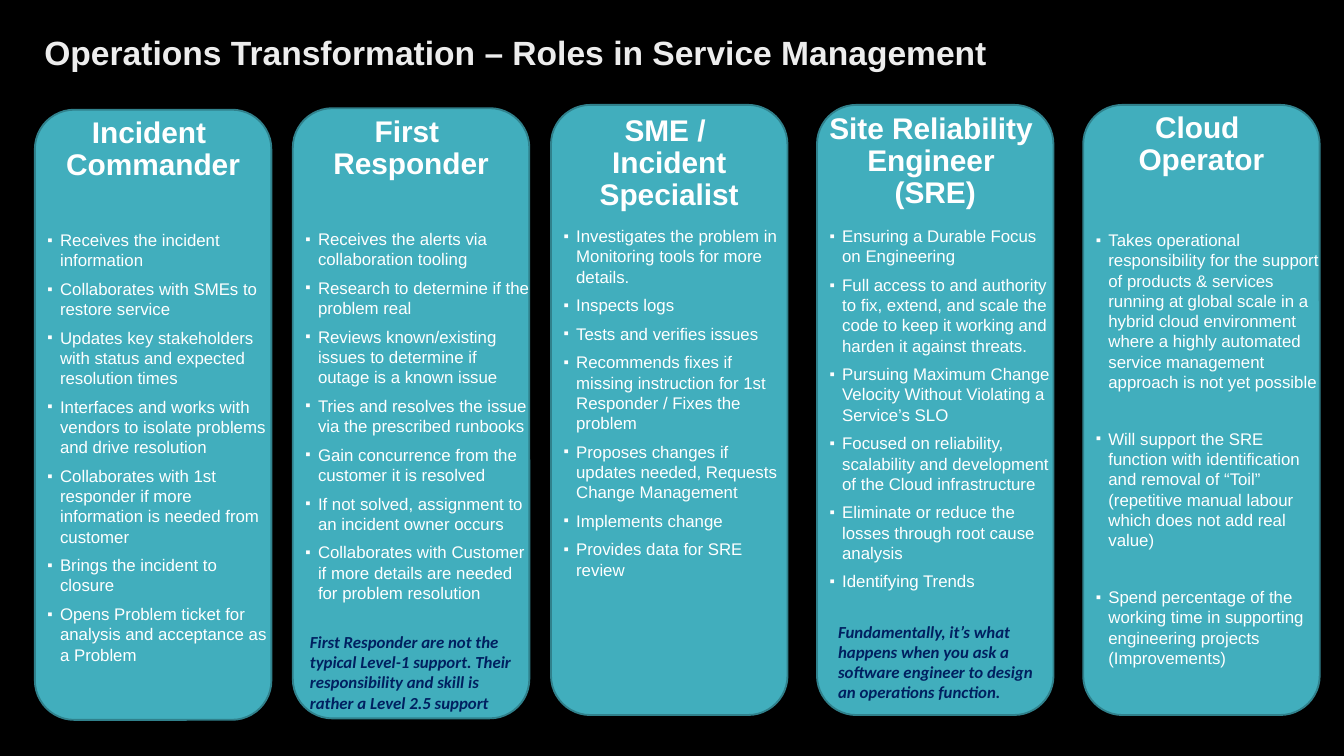
import pptx
import pptx.dml.color
import pptx.enum.shapes
import pptx.enum.text
import pptx.oxml
import pptx.oxml.ns
import pptx.util

Pt = pptx.util.Pt
ALIGN = pptx.enum.text.PP_ALIGN
ANCHOR = pptx.enum.text.MSO_ANCHOR

TITLE = "Operations Transformation – Roles in Service Management"

# Tops are in points; "\v" is a line break within a paragraph.
ROLES = [
    {
        "heading": "Incident \vCommander",
        "left": 18.7, "panel_top": 58.8, "heading_top": 63.2, "list_top": 123.2,
        "duties": [
            "Receives the incident information",
            "Collaborates with SMEs to restore service",
            "Updates key stakeholders with status and expected resolution times",
            "Interfaces and works with vendors to isolate problems and drive resolution",
            "Collaborates with 1st responder if more information is needed from customer",
            "Brings the incident to closure",
            "Opens Problem ticket for analysis and acceptance as a Problem",
        ],
    },
    {
        "heading": "First \vResponder",
        "left": 156.9, "panel_top": 58, "heading_top": 62.6, "list_top": 122.6,
        "duties": [
            "Receives the alerts via collaboration tooling",
            "Research to determine if the problem real",
            "Reviews known/existing issues to determine if outage is a known issue",
            "Tries and resolves the issue via the prescribed runbooks",
            "Gain concurrence from the customer it is resolved",
            "If not solved, assignment to an incident owner occurs",
            "Collaborates with Customer if more details are needed for problem resolution",
        ],
        "note": "First Responder are not the typical Level-1 support. "
                "Their responsibility and skill is rather a Level 2.5 support",
        "note_left": 159, "note_top": 334.8,
    },
    {
        "heading": "SME / \vIncident Specialist",
        "left": 295.2, "panel_top": 56.2, "heading_top": 61.8, "list_top": 121,
        "duties": [
            "Investigates the problem in Monitoring tools for more details.",
            "Inspects logs",
            "Tests and verifies issues",
            "Recommends fixes if missing instruction for 1st Responder / Fixes the problem",
            "Proposes changes if updates needed, Requests Change Management",
            "Implements change",
            "Provides data for SRE review",
        ],
    },
    {
        "heading": "Site Reliability \vEngineer \v(SRE)",
        "left": 437.7, "panel_top": 56.2, "heading_top": 60.9, "list_top": 121,
        "duties": [
            "Ensuring a Durable Focus on Engineering",
            "Full access to and authority to fix, extend, and scale the code "
            "to keep it working and harden it against threats.",
            "Pursuing Maximum Change Velocity Without Violating a Service’s SLO",
            "Focused on reliability, scalability and development of the Cloud infrastructure",
            "Eliminate or reduce the losses through root cause analysis",
            "Identifying Trends",
        ],
        "note": "Fundamentally, it’s what happens when you ask a software "
                "engineer to design an operations function.",
        "note_left": 441.9, "note_top": 329.3,
    },
    {
        "heading": "Cloud \vOperator",
        "left": 580.3, "panel_top": 56.2, "heading_top": 60.4, "list_top": 123.2,
        "gap": 19.8,
        "duties": [
            "Takes operational responsibility for the support of products & services "
            "running at global scale in a hybrid cloud environment where a highly "
            "automated service management approach is not yet possible",
            "Will support the SRE function with identification and removal of “Toil” "
            "(repetitive manual labour which does not add real value)",
            "Spend percentage of the working time in supporting engineering projects "
            "(Improvements)",
        ],
    },
]

THEME = {
    "background": "000000", "panel": "41AEBD", "panel_line": "30818C",
    "text": "FFFFFF", "note": "002060",
    "title_gradient": [(0, "BFBFBF"), (28, "EDEDED"), (100, "FFFFFF")],
    "font": "Arial", "note_font": "Calibri",
    "title_size": 18, "heading_size": 16, "body_size": 9,
}
COLUMN_WIDTH, PANEL_HEIGHT = 126.7, 326.9
LIST_HEIGHT, NOTE_WIDTH, NOTE_HEIGHT = 216, 122.4, 51.1
DUTY_GAP = 4.5


def rgb(name):
    return pptx.dml.color.RGBColor.from_string(THEME[name])


def add_bullet(paragraph):
    properties = paragraph._p.get_or_add_pPr()
    properties.set("marL", str(Pt(13.5)))
    properties.set("indent", str(Pt(-6.75)))
    namespace = pptx.oxml.ns.nsdecls("a")
    for markup in (
        f'<a:buClr {namespace}><a:srgbClr val="{THEME["text"]}"/></a:buClr>',
        f'<a:buSzPct {namespace} val="90000"/>',
        f'<a:buFont {namespace} typeface="{THEME["font"]}"/>',
        f'<a:buChar {namespace} char="▪"/>',
    ):
        properties.append(pptx.oxml.parse_xml(markup))


def write_text(shape, text, *, size, color="text", font="font", bold=False, italic=False,
               align=ALIGN.LEFT, line_spacing=1.0, gap=0, bullet=False,
               inset=(0, 0), anchor=ANCHOR.TOP):
    """Fill a shape with one paragraph for each line of text."""
    frame = shape.text_frame
    frame.word_wrap = True
    frame.auto_size = pptx.enum.text.MSO_AUTO_SIZE.NONE
    frame.vertical_anchor = anchor
    frame.margin_left = frame.margin_right = Pt(inset[0])
    frame.margin_top = frame.margin_bottom = Pt(inset[1])
    frame.text = text
    for index, paragraph in enumerate(frame.paragraphs):
        paragraph.alignment = align
        paragraph.line_spacing = line_spacing
        paragraph.space_before = Pt(gap if index else 0)
        if bullet:
            add_bullet(paragraph)
        for run in paragraph.runs:
            run.font.name = THEME[font]
            run.font.size = Pt(THEME[size])
            run.font.bold = bold
            run.font.italic = italic
            run.font.color.rgb = rgb(color)


def apply_title_gradient(run):
    stops = "".join(
        f'<a:gs pos="{position * 1000}"><a:srgbClr val="{color}"/></a:gs>'
        for position, color in THEME["title_gradient"])
    gradient = pptx.oxml.parse_xml(
        f'<a:gradFill {pptx.oxml.ns.nsdecls("a")}><a:gsLst>{stops}</a:gsLst>'
        '<a:lin ang="4800000" scaled="0"/></a:gradFill>')
    properties = run._r.get_or_add_rPr()
    solid = properties.find(pptx.oxml.ns.qn("a:solidFill"))
    properties.replace(solid, gradient)


def add_title(slide):
    title = slide.shapes.title
    title.left, title.top, title.width, title.height = map(Pt, (18.7, 13, 620.6, 33.8))
    write_text(title, TITLE, size="title_size", bold=True, line_spacing=0.8,
               inset=(5.04, 2.88), anchor=ANCHOR.MIDDLE)
    apply_title_gradient(title.text_frame.paragraphs[0].runs[0])


def add_text(slide, box, text, **text_format):
    write_text(slide.shapes.add_textbox(*map(Pt, box)), text, **text_format)


def add_role(slide, role):
    left = role["left"]
    panel = slide.shapes.add_shape(
        pptx.enum.shapes.MSO_SHAPE.ROUNDED_RECTANGLE,
        *map(Pt, (left, role["panel_top"], COLUMN_WIDTH, PANEL_HEIGHT)))
    panel.shadow.inherit = False
    panel.fill.solid()
    panel.fill.fore_color.rgb = rgb("panel")
    panel.line.color.rgb = rgb("panel_line")
    panel.line.width = Pt(1)

    heading_height = 52.5 if role["list_top"] == 121 else 34.6
    add_text(slide, (left, role["heading_top"], COLUMN_WIDTH, heading_height),
             role["heading"], size="heading_size", bold=True,
             align=ALIGN.CENTER, line_spacing=0.9)
    add_text(slide, (left, role["list_top"], COLUMN_WIDTH, LIST_HEIGHT),
             "\n".join(role["duties"]), size="body_size", bullet=True,
             gap=role.get("gap", DUTY_GAP))
    if "note" in role:
        add_text(slide, (role["note_left"], role["note_top"], NOTE_WIDTH, NOTE_HEIGHT),
                 role["note"], size="body_size", color="note", font="note_font",
                 bold=True, italic=True, inset=(7.2, 3.6))


def main():
    presentation = pptx.Presentation()
    presentation.slide_width, presentation.slide_height = Pt(720), Pt(405)
    slide = presentation.slides.add_slide(presentation.slide_layouts.get_by_name("Title Only"))
    slide.background.fill.solid()
    slide.background.fill.fore_color.rgb = rgb("background")
    add_title(slide)
    for role in ROLES:
        add_role(slide, role)
    presentation.save("out.pptx")


if __name__ == "__main__":
    main()
